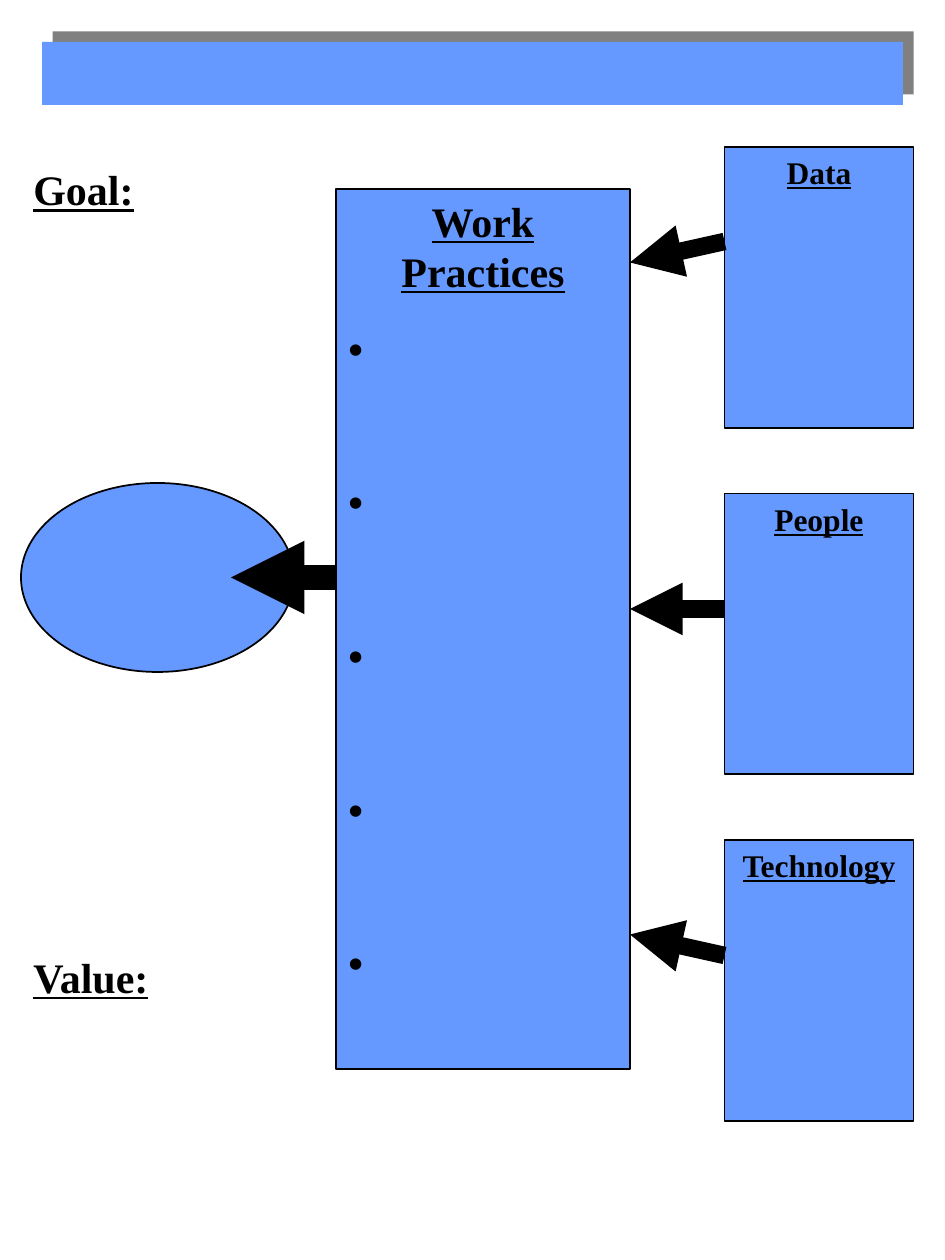
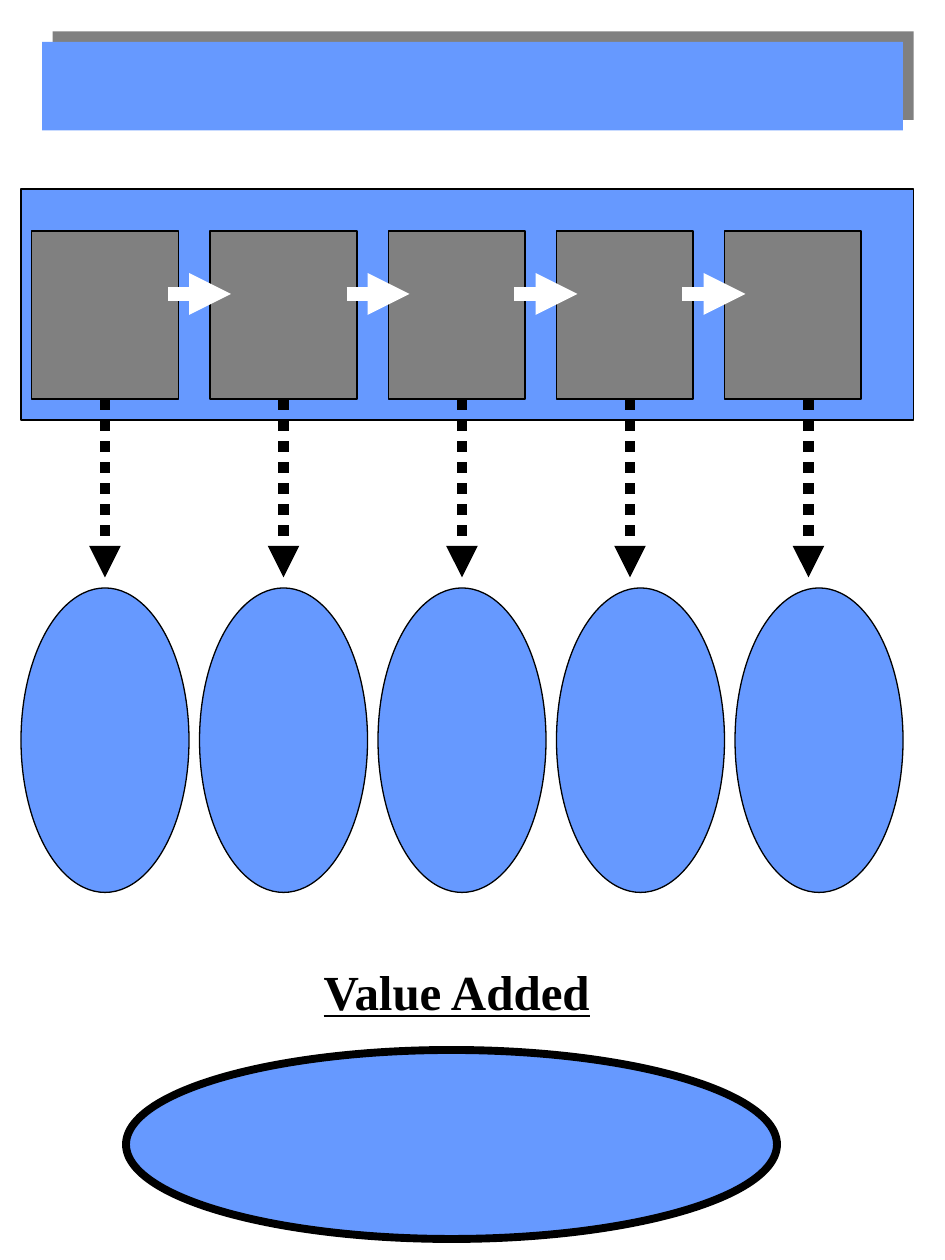
from dataclasses import dataclass
from typing import NamedTuple, Optional

from lxml.etree import SubElement
from pptx import Presentation
from pptx.dml.color import RGBColor
from pptx.enum.dml import MSO_LINE_DASH_STYLE as Dash
from pptx.enum.shapes import MSO_CONNECTOR as Connector
from pptx.enum.shapes import MSO_SHAPE as Preset
from pptx.enum.text import MSO_ANCHOR as Anchor
from pptx.enum.text import PP_ALIGN as Align
from pptx.oxml.ns import qn
from pptx.shapes.autoshape import Shape
from pptx.slide import Slide
from pptx.util import Pt

BLUE = RGBColor(0x66, 0x99, 0xFF)
GRAY = RGBColor(0x80, 0x80, 0x80)
BLACK = RGBColor(0, 0, 0)
WHITE = RGBColor(0xFF, 0xFF, 0xFF)
FONT = "Times New Roman"


class Box(NamedTuple):
    left: float
    top: float
    width: float
    height: float

    def lengths(self) -> list[Pt]:
        return [Pt(value) for value in self]


@dataclass
class Arrow:
    start: tuple[float, float]
    end: tuple[float, float]
    weight: float
    color: RGBColor = BLACK
    dash: Optional[Dash] = None


class Step(NamedTuple):
    left: float
    width: float
    arrow_x: float


RESOURCES = ["Data", "People", "Technology"]
RESOURCE_TOP, RESOURCE_PITCH = 84, 198
RESOURCE_ARROWS = [(138, 150), (348, 348), (546, 534)]
PRACTICE_COUNT = 5
STEPS = [
    Step(18, 84, 60),
    Step(120, 84, 162),
    Step(222, 78, 264),
    Step(318, 78, 360),
    Step(414, 78, 462),
]


def add_figure(slide: Slide, preset: Preset, box: Box, fill: RGBColor = BLUE,
               weight: float = 1) -> Shape:
    shape = slide.shapes.add_shape(preset, *box.lengths())
    shape.shadow.inherit = False
    shape.fill.solid()
    shape.fill.fore_color.rgb = fill
    if weight:
        shape.line.color.rgb = BLACK
        shape.line.width = Pt(weight)
    else:
        shape.line.fill.background()
    return shape


def add_band(slide: Slide, height: float) -> None:
    band = add_figure(slide, Preset.RECTANGLE, Box(24, 24, 492, height), weight=0)
    effects = band._element.spPr.find(qn("a:effectLst"))
    shadow = SubElement(effects, qn("a:outerShdw"), dist=str(Pt(8.5)),
                        dir=str(315 * 60000), algn="ctr", rotWithShape="0")
    SubElement(shadow, qn("a:srgbClr"), val=str(GRAY))


def write_heading(shape: Shape, text: str, size: float,
                  align: Align = Align.CENTER) -> None:
    frame = shape.text_frame
    frame.word_wrap = True
    frame.vertical_anchor = Anchor.TOP
    write_paragraph(frame.paragraphs[0], text, size, align, underline=True)


def write_paragraph(paragraph, text: str, size: float, align: Align,
                    underline: bool = False) -> None:
    paragraph.text = text
    paragraph.alignment = align
    font = paragraph.font
    font.name, font.size = FONT, Pt(size)
    font.bold, font.underline = True, underline
    font.color.rgb = BLACK


def add_label(slide: Slide, box: Box, text: str, size: float,
              align: Align = Align.LEFT) -> None:
    write_heading(slide.shapes.add_textbox(*box.lengths()), text, size, align)


def add_arrow(slide: Slide, arrow: Arrow) -> None:
    ends = [Pt(value) for value in (*arrow.start, *arrow.end)]
    connector = slide.shapes.add_connector(Connector.STRAIGHT, *ends)
    line = connector.line
    line.color.rgb = arrow.color
    line.width = Pt(arrow.weight)
    if arrow.dash:
        line.dash_style = arrow.dash
    SubElement(line._get_or_add_ln(), qn("a:tailEnd"), type="triangle")
    SubElement(connector._element.spPr, qn("a:effectLst"))


def add_practices(slide: Slide) -> None:
    shape = add_figure(slide, Preset.RECTANGLE, Box(192, 108, 168, 503))
    write_heading(shape, "Work Practices", 24)
    for index in range(PRACTICE_COUNT):
        paragraph = shape.text_frame.add_paragraph()
        write_paragraph(paragraph, "•", 24, Align.LEFT)
        paragraph.space_before = Pt(59 if index else 15)


def build_work_system(slide: Slide) -> None:
    add_band(slide, 36)
    add_practices(slide)
    for index, name in enumerate(RESOURCES):
        top = RESOURCE_TOP + index * RESOURCE_PITCH
        resource = add_figure(slide, Preset.RECTANGLE, Box(414, top, 108, 160.5))
        write_heading(resource, name, 18)
    add_label(slide, Box(12, 90, 144, 36), "Goal:", 24)
    add_label(slide, Box(12, 540, 144, 36), "Value:", 24)
    add_figure(slide, Preset.OVAL, Box(12, 276, 156, 108))
    for start_y, end_y in RESOURCE_ARROWS:
        add_arrow(slide, Arrow((414, start_y), (360, end_y), 10))
    add_arrow(slide, Arrow((192, 330), (132, 330), 14))


def build_value_chain(slide: Slide) -> None:
    add_band(slide, 50.5)
    add_figure(slide, Preset.RECTANGLE, Box(12, 108, 510, 132))
    for step in STEPS:
        add_figure(slide, Preset.RECTANGLE, Box(step.left, 132, step.width, 96),
                   GRAY, 0.75)
    for step in STEPS[:-1]:
        start_x = step.left + step.width - 6
        add_arrow(slide, Arrow((start_x, 168), (start_x + 36, 168), 8, WHITE))
    for index, step in enumerate(STEPS):
        add_arrow(slide, Arrow((step.arrow_x, 228), (step.arrow_x, 330), 6,
                               dash=Dash.ROUND_DOT))
        add_figure(slide, Preset.OVAL, Box(12 + index * 102, 336, 96, 174),
                   weight=0.75)
    add_label(slide, Box(66, 546, 390, 41), "Value Added", 28, Align.CENTER)
    add_figure(slide, Preset.OVAL, Box(72, 600, 372, 108), weight=4.5)


def main() -> None:
    presentation = Presentation()
    presentation.slide_width, presentation.slide_height = Pt(540), Pt(720)
    blank = presentation.slide_layouts[6]
    for build in (build_work_system, build_value_chain):
        build(presentation.slides.add_slide(blank))
    presentation.save("out.pptx")


if __name__ == "__main__":
    main()
